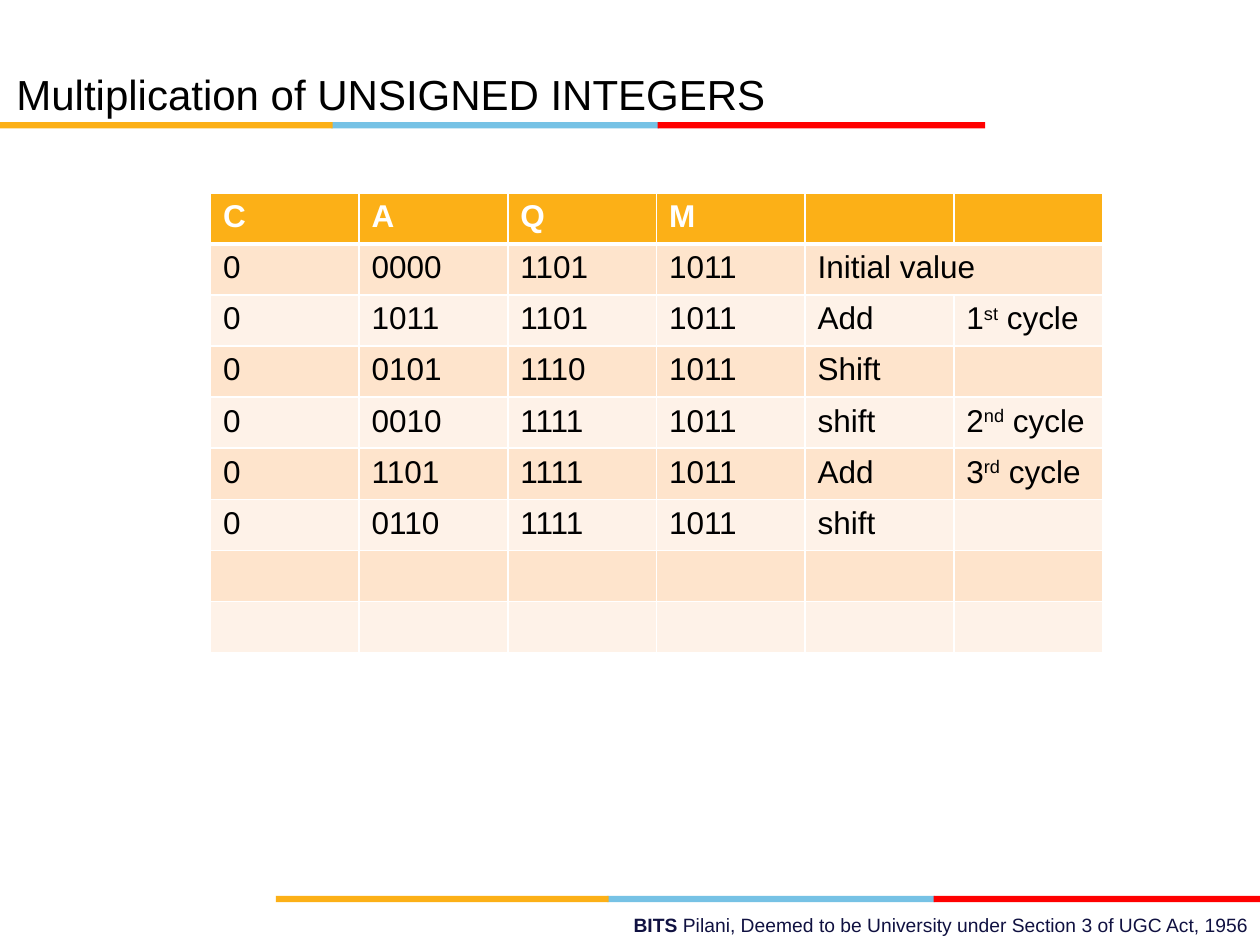
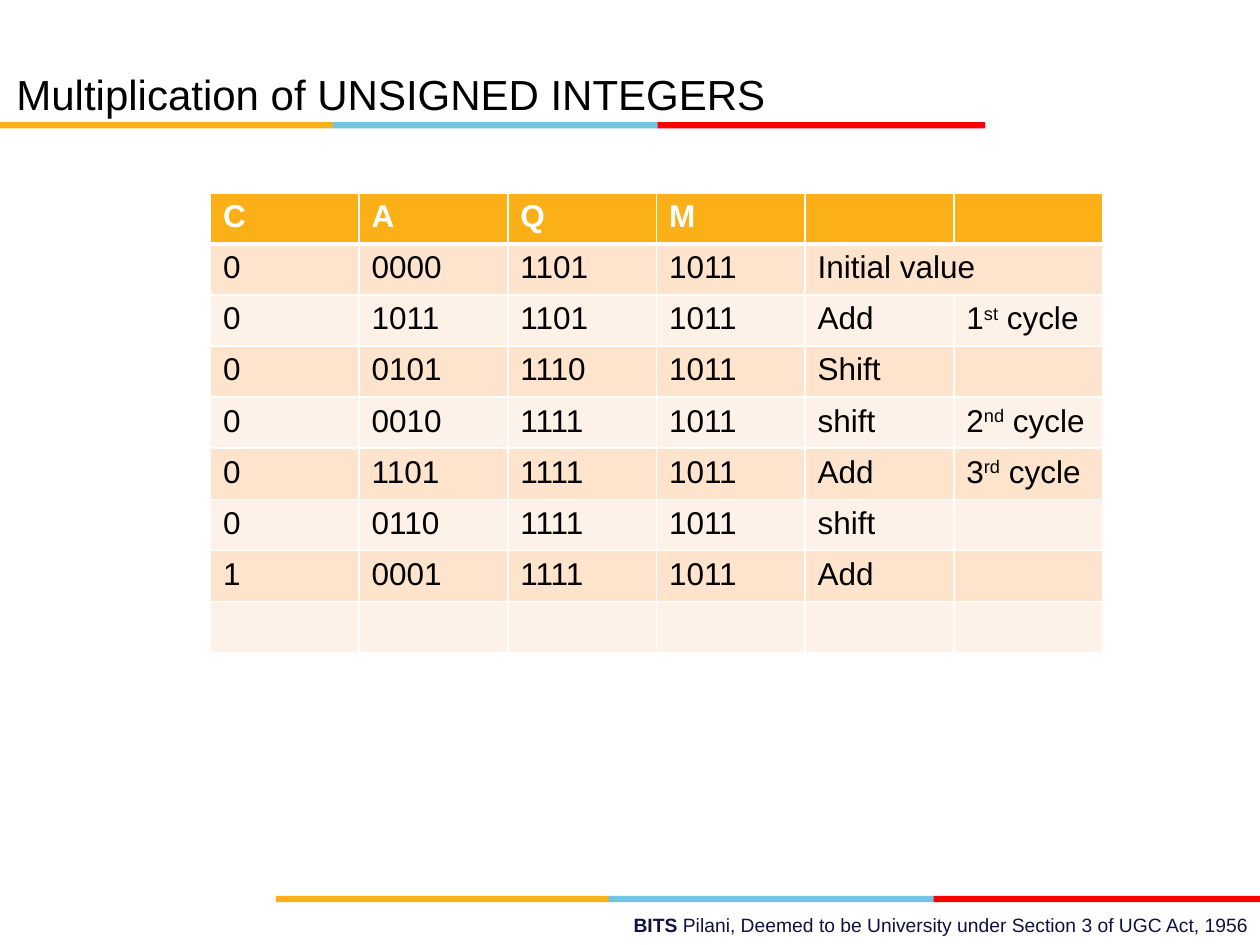
import dataclasses

import lxml.etree
import pptx
import pptx.dml.color
import pptx.enum.shapes
import pptx.enum.text
import pptx.oxml.ns
import pptx.util

Inches = pptx.util.Inches
Pt = pptx.util.Pt
PP_ALIGN = pptx.enum.text.PP_ALIGN
MSO_ANCHOR = pptx.enum.text.MSO_ANCHOR
qn = pptx.oxml.ns.qn


@dataclasses.dataclass(frozen=True)
class Theme:
    font: str = "Arial"
    text: str = "000000"
    white: str = "FFFFFF"
    navy: str = "101141"
    amber: str = "FCB017"
    sky: str = "76C2E5"
    red: str = "FF0000"
    bands: tuple = ("FEE4CC", "FEF2E8")
    title_size: int = 24
    table_size: int = 18
    footer_size: int = 11
    thin: int = 1
    thick: int = 3


TITLE = "Multiplication of UNSIGNED INTEGERS"
FOOTER = "Pilani, Deemed to be University under Section 3 of UGC Act, 1956"
HEADER = ["C", "A", "Q", "M"]
STEPS = [
    ["0", "0000", "1101", "1011", "Initial value"],
    ["0", "1011", "1101", "1011", "Add", ("1", "st", " cycle")],
    ["0", "0101", "1110", "1011", "Shift"],
    ["0", "0010", "1111", "1011", "shift", ("2", "nd", " cycle")],
    ["0", "1101", "1111", "1011", "Add", ("3", "rd", " cycle")],
    ["0", "0110", "1111", "1011", "shift"],
]
LAST_ADD = ["1", "0001", "1111", "1011", "Add"]
ROWS, COLS = 9, 6


class Deck:
    def __init__(self, theme):
        self.theme = theme
        self.prs = pptx.Presentation()
        self.prs.slide_width = Inches(10)
        self.prs.slide_height = Inches(7.5)
        self.s = None

    def color(self, value):
        return pptx.dml.color.RGBColor.from_string(value)

    def run(self, p, text, size, color, bold=False, raised=False):
        r = p.add_run()
        r.text = text
        r.font.name = self.theme.font
        r.font.size = Pt(size)
        r.font.bold = bold
        r.font.color.rgb = self.color(color)
        if raised:
            r.font._element.set("baseline", "30000")

    def slide(self, title):
        self.s = self.prs.slides.add_slide(self.prs.slide_layouts[5])
        self.stripe(0, 0.97)
        self.footer()
        self.stripe(2.19, 7.11)
        self.title(title)

    def title(self, text):
        sp = self.s.shapes.title
        sp.left, sp.top = Inches(0.13), Inches(0.29)
        sp.width, sp.height = Inches(7.14), Inches(0.65)
        tf = sp.text_frame
        tf.margin_left = tf.margin_top = tf.margin_right = tf.margin_bottom = 0
        tf.auto_size = pptx.enum.text.MSO_AUTO_SIZE.NONE
        tf.vertical_anchor = MSO_ANCHOR.BOTTOM
        p = tf.paragraphs[0]
        p.alignment = PP_ALIGN.LEFT
        self.run(p, text, self.theme.title_size, self.theme.text)

    def stripe(self, left, top):
        t = self.theme
        for offset, width, color in ((2.63, 2.6, t.sky), (0, 2.64, t.amber), (5.22, 2.6, t.red)):
            sp = self.s.shapes.add_shape(
                pptx.enum.shapes.MSO_SHAPE.RECTANGLE,
                Inches(left + offset), Inches(top), Inches(width), Inches(0.05))
            sp.shadow.inherit = False
            sp.fill.solid()
            sp.fill.fore_color.rgb = self.color(color)
            sp.line.fill.background()

    def footer(self):
        t = self.theme
        sp = self.s.shapes.add_textbox(Inches(3.46), Inches(7.2), Inches(6.55), Inches(0.29))
        tf = sp.text_frame
        tf.word_wrap = True
        p = tf.paragraphs[0]
        p.alignment = PP_ALIGN.RIGHT
        self.run(p, "BITS ", t.footer_size, t.navy, bold=True)
        self.run(p, FOOTER, t.footer_size, t.navy)

    def borders(self, cell, row):
        t = self.theme
        widths = {"L": t.thin, "R": t.thin,
                  "T": t.thick if row == 1 else t.thin,
                  "B": t.thick if row == 0 else t.thin}
        tcPr = cell._tc.get_or_add_tcPr()
        for side, width in widths.items():
            ln = lxml.etree.SubElement(tcPr, qn(f"a:ln{side}"), w=str(Pt(width)))
            fill = lxml.etree.SubElement(ln, qn("a:solidFill"))
            lxml.etree.SubElement(fill, qn("a:srgbClr"), val=t.white)

    def table(self, steps):
        t = self.theme
        table = self.s.shapes.add_table(
            ROWS, COLS, Inches(1.67), Inches(1.53), Inches(7.08), Inches(3.65)).table
        for row in range(ROWS):
            for col in range(COLS):
                cell = table.cell(row, col)
                self.borders(cell, row)
                cell.fill.solid()
                cell.fill.fore_color.rgb = self.color(t.bands[(row - 1) % 2] if row else t.amber)
        table.cell(1, 4).merge(table.cell(1, 5))
        for row, values in enumerate([HEADER] + steps):
            for col, value in enumerate(values):
                p = table.cell(row, col).text_frame.paragraphs[0]
                parts = (value,) if isinstance(value, str) else value
                for i, part in enumerate(parts):
                    self.run(p, part, t.table_size, t.text if row else t.white,
                             bold=row == 0, raised=i == 1)


def main():
    deck = Deck(Theme())
    for steps in (STEPS, STEPS + [LAST_ADD]):
        deck.slide(TITLE)
        deck.table(steps)
    deck.prs.save("out.pptx")


if __name__ == "__main__":
    main()
